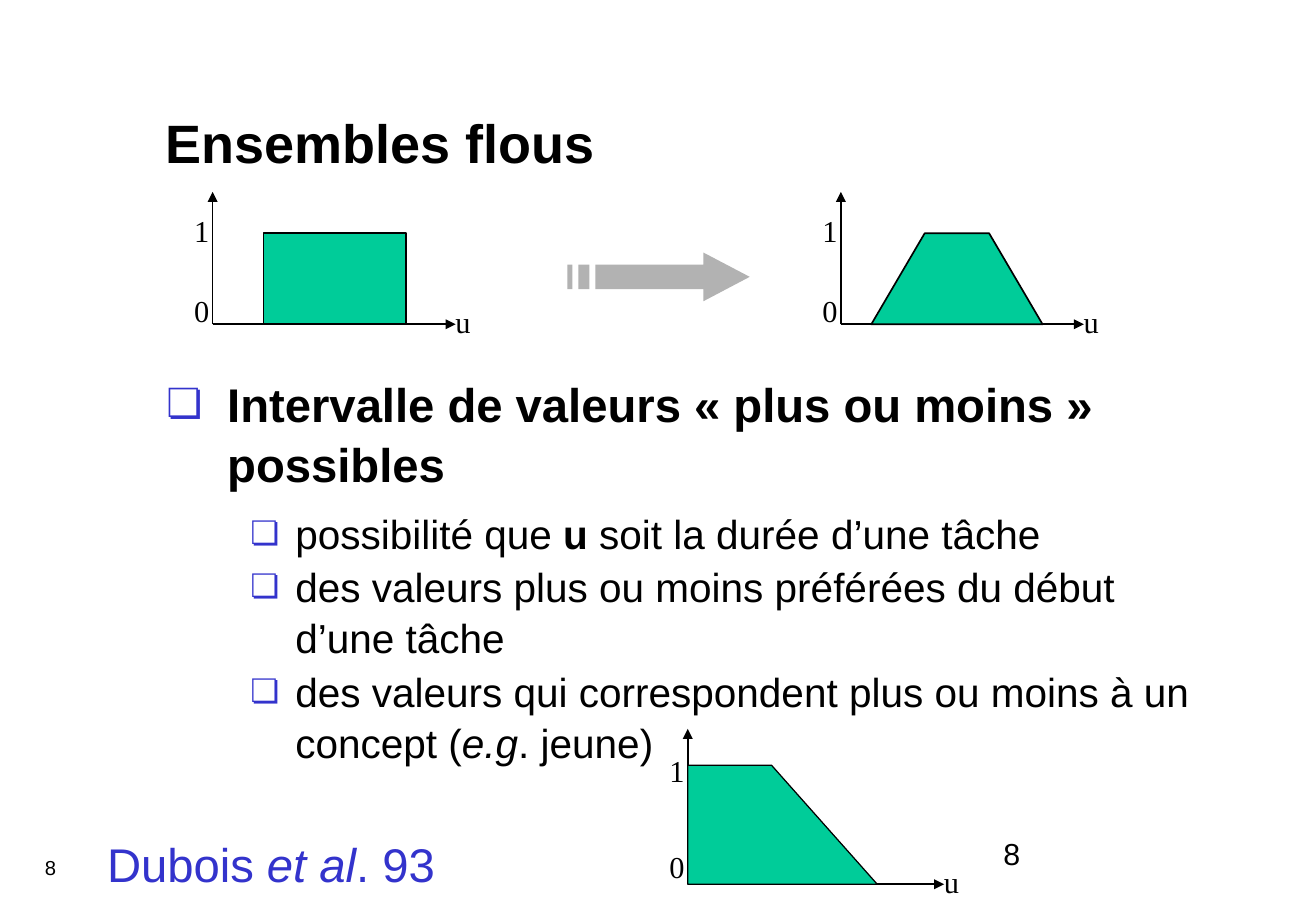
from dataclasses import dataclass
from typing import Optional

from lxml.etree import SubElement
from pptx import Presentation
from pptx.dml.color import RGBColor
from pptx.enum.shapes import MSO_CONNECTOR, MSO_SHAPE
from pptx.enum.text import MSO_ANCHOR, MSO_AUTO_SIZE, PP_ALIGN
from pptx.oxml.ns import qn
from pptx.util import Inches, Pt

COLORS = {"text": "000000", "accent": "3333CC", "fuzzy": "00CC99", "arrow": "B2B2B2"}
Point = tuple[float, float]


@dataclass
class Span:
    text: str
    bold: bool = False
    italic: bool = False


@dataclass
class Bullet:
    spans: list[Span]
    size: float
    margin: float
    hanging: float
    before: float
    after: float
    bullet_percent: int
    level: int = 0


@dataclass
class Label:
    text: str
    left: float
    top: float
    width: float = 0.32
    height: float = 0.4
    size: float = 18
    font: str = "Times New Roman"
    wrap: bool = False
    align: PP_ALIGN = PP_ALIGN.LEFT


@dataclass
class Plot:
    left: float
    base: float
    right: float
    top: float
    zero_top: float
    one_top: float
    outline: Optional[list[Point]] = None
    rectangle: Optional[tuple[float, float, float, float]] = None
    outline_width: float = 1


def color(name: str) -> RGBColor:
    return RGBColor.from_string(COLORS[name])


def write_spans(para, spans: list[Span], size: float, font: str, tint: str = "text") -> None:
    for span in spans:
        run = para.add_run()
        run.text = span.text
        run.font.name = font
        run.font.size = Pt(size)
        run.font.bold = span.bold
        run.font.italic = span.italic
        run.font.color.rgb = color(tint)


def place(shape, left: float, top: float, width: float, height: float) -> None:
    shape.left, shape.top = Inches(left), Inches(top)
    shape.width, shape.height = Inches(width), Inches(height)


def add_label(shapes, label: Label, spans: Optional[list[Span]] = None, tint: str = "text") -> None:
    box = shapes.add_textbox(Inches(label.left), Inches(label.top), Inches(label.width), Inches(label.height))
    box.text_frame.word_wrap = label.wrap
    para = box.text_frame.paragraphs[0]
    para.alignment = label.align
    write_spans(para, spans or [Span(label.text)], label.size, label.font, tint)


def add_axis(shapes, start: Point, end: Point) -> None:
    axis = shapes.add_connector(MSO_CONNECTOR.STRAIGHT, *map(Inches, start + end))
    axis.line.color.rgb = color("text")
    axis.line.width = Pt(1)
    SubElement(axis.line._get_or_add_ln(), qn("a:tailEnd"), type="triangle")
    SubElement(axis._element.spPr, qn("a:effectLst"))


def paint(shape, fill: str, line_width: float = 0) -> None:
    shape.shadow.inherit = False
    shape.fill.solid()
    shape.fill.fore_color.rgb = color(fill)
    if line_width:
        shape.line.color.rgb = color("text")
        shape.line.width = Pt(line_width)
    else:
        shape.line.fill.background()


def add_outline(shapes, contours: list[list[Point]]):
    (start, *_), *_ = contours
    builder = shapes.build_freeform(*map(Inches, start), scale=1.0)
    for number, contour in enumerate(contours):
        points = [(Inches(x), Inches(y)) for x, y in contour]
        if number:
            builder.move_to(*points[0])
        builder.add_line_segments(points[1:], close=True)
    return builder.convert_to_shape()


def add_plot(page, plot: Plot) -> None:
    shapes = page.shapes.add_group_shape().shapes
    origin = (plot.left, plot.base)
    add_axis(shapes, origin, (plot.right, plot.base))
    add_axis(shapes, origin, (plot.left, plot.top))
    if plot.rectangle:
        area = shapes.add_shape(MSO_SHAPE.RECTANGLE, *map(Inches, plot.rectangle))
    else:
        area = add_outline(shapes, [plot.outline])
    paint(area, "fuzzy", plot.outline_width)
    add_label(shapes, Label("u", plot.right - 0.1, plot.base - 0.22))
    add_label(shapes, Label("0", plot.left - 0.25, plot.zero_top))
    add_label(shapes, Label("1", plot.left - 0.25, plot.one_top))


def band(left: float, right: float) -> list[Point]:
    return [(left, 2.18), (right, 2.18), (right, 2.38), (left, 2.38)]


def add_bullet(para, item: Bullet) -> None:
    para.level = item.level
    para.alignment = PP_ALIGN.LEFT
    para.line_spacing = 1.05
    para.space_before = Pt(item.before)
    para.space_after = Pt(item.after)
    properties = para._p.get_or_add_pPr()
    properties.set("marL", str(Inches(item.margin)))
    properties.set("indent", str(-Inches(item.hanging)))
    tint = SubElement(properties, qn("a:buClr"))
    SubElement(tint, qn("a:srgbClr"), val=COLORS["accent"])
    SubElement(properties, qn("a:buSzPct"), val=str(item.bullet_percent * 1000))
    SubElement(properties, qn("a:buChar"), char="❏")
    write_spans(para, item.spans, item.size, "Arial")


def main_bullet(*spans: Span) -> Bullet:
    return Bullet(list(spans), 28, 0.5, 0.5, 0, 7, 85)


def sub_bullet(*spans: Span) -> Bullet:
    return Bullet(list(spans), 24, 1.06, 0.37, 1.5, 0, 80, 1)


BULLETS = [
    main_bullet(Span("Intervalle de valeurs « plus ou moins » possibles", bold=True)),
    sub_bullet(Span("possibilité que "), Span("u", bold=True), Span(" soit la durée d’une tâche")),
    sub_bullet(Span("des valeurs plus ou moins préférées du début d’une tâche")),
    sub_bullet(
        Span("des valeurs qui correspondent plus ou moins à un concept ("),
        Span("e.g", italic=True),
        Span(". jeune)"),
    ),
]

PLOTS = [
    Plot(1.75, 2.67, 3.75, 1.58, 2.36, 1.7, rectangle=(2.17, 1.92, 1.17, 0.75)),
    Plot(6.92, 2.67, 8.92, 1.58, 2.36, 1.7, [(7.17, 2.67), (8.58, 2.67), (8.14, 1.92), (7.61, 1.92)]),
    Plot(5.66, 7.28, 7.77, 6, 6.93, 6.14, [(5.66, 6.3), (5.66, 7.28), (7.22, 7.28), (6.35, 6.3)], outline_width=0.75),
]

ARROW_BODY = [(4.9, 2.18), (5.79, 2.18), (5.79, 2.08), (6.17, 2.28), (5.79, 2.48), (5.79, 2.38), (4.9, 2.38)]


def main() -> None:
    deck = Presentation()
    deck.slide_width, deck.slide_height = Inches(10.83), Inches(7.5)
    page = deck.slides.add_slide(deck.slide_layouts[1])
    title, body = page.placeholders
    place(title, 1.26, 0.75, 8.3, 0.83)
    place(body, 1.27, 3.02, 8.74, 3.28)
    for holder, anchor in ((title, MSO_ANCHOR.MIDDLE), (body, MSO_ANCHOR.TOP)):
        holder.text_frame.auto_size = MSO_AUTO_SIZE.NONE
        holder.text_frame.vertical_anchor = anchor
    heading = title.text_frame.paragraphs[0]
    heading.alignment = PP_ALIGN.LEFT
    write_spans(heading, [Span("Ensembles flous", bold=True)], 32, "Arial")
    for number, item in enumerate(BULLETS):
        frame = body.text_frame
        add_bullet(frame.add_paragraph() if number else frame.paragraphs[0], item)
    for plot in PLOTS:
        add_plot(page, plot)
    paint(add_outline(page.shapes, [ARROW_BODY, band(4.67, 4.71), band(4.76, 4.85)]), "arrow")
    citation = [Span("Dubois "), Span("et al", italic=True), Span(". 93")]
    add_label(page.shapes, Label("", 0.73, 6.83, 3, 0.57, 28, "Arial", align=PP_ALIGN.CENTER), citation, "accent")
    add_label(page.shapes, Label("8", 0.27, 6.99, 0.28, 0.33, 12, "Arial", align=PP_ALIGN.CENTER))
    add_label(page.shapes, Label("8", 8.16, 6.83, 2.26, 0.5, 18, "Arial", wrap=True))
    deck.save("out.pptx")


if __name__ == "__main__":
    main()
